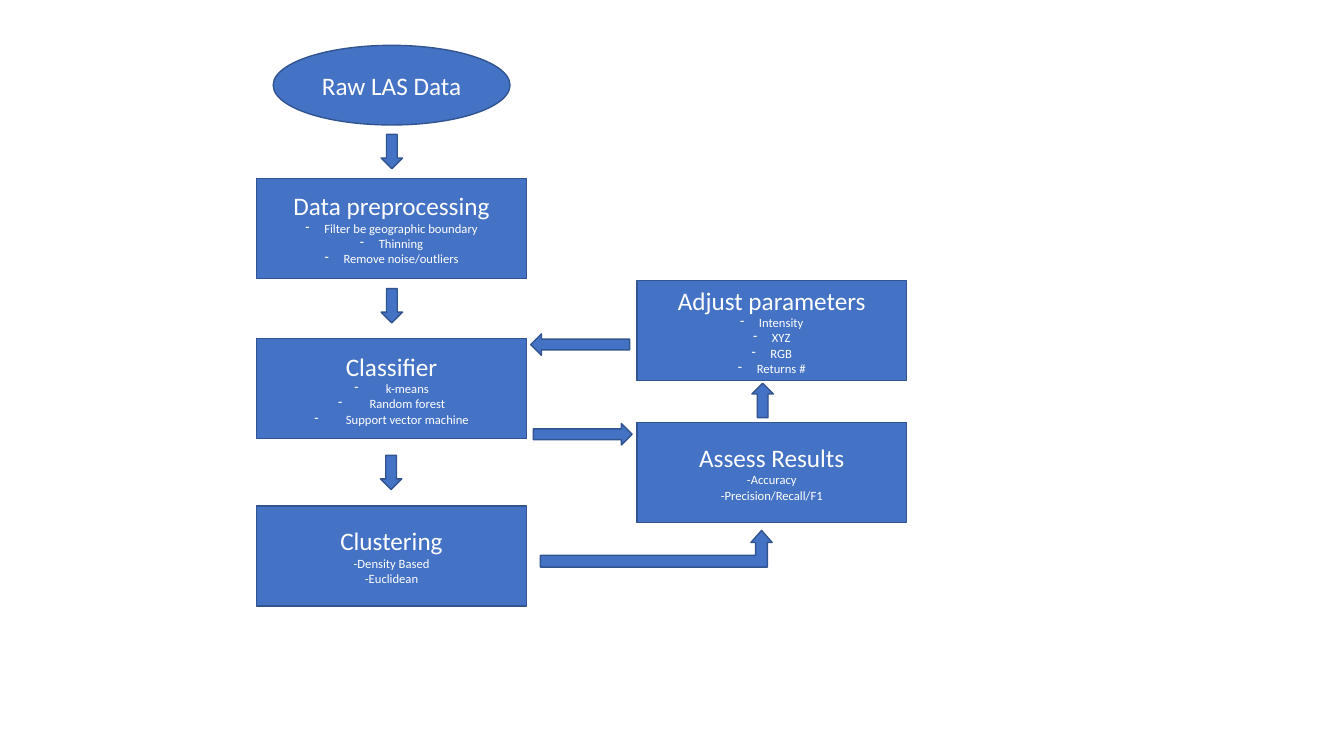
from dataclasses import dataclass

from lxml import etree
from pptx import Presentation
from pptx import util as u
from pptx.dml import color
from pptx.enum import shapes, text
from pptx.oxml import ns


@dataclass
class Theme:
    fill = color.RGBColor.from_string("4472C4")
    line = color.RGBColor.from_string("325491")
    ink = color.RGBColor.from_string("FFFFFF")
    font = "Calibri"
    title_size = u.Pt(18)
    detail_size = u.Pt(9)


theme = Theme()
KIND = shapes.MSO_SHAPE

presentation = Presentation()
presentation.slide_width = u.Pt(960)
presentation.slide_height = u.Pt(540)
slide = presentation.slides.add_slide(presentation.slide_layouts[6])


def add_block(kind, left, top, width, height):
    shape = slide.shapes.add_shape(kind, u.Pt(left), u.Pt(top), u.Pt(width), u.Pt(height))
    shape.shadow.inherit = False
    shape.fill.solid()
    shape.fill.fore_color.rgb = theme.fill
    shape.line.color.rgb = theme.line
    shape.line.width = u.Pt(1)
    return shape


def add_step(kind, left, top, width, height, title, details=(), indent=0):
    frame = add_block(kind, left, top, width, height).text_frame
    frame.word_wrap = True
    frame.vertical_anchor = text.MSO_ANCHOR.MIDDLE
    for number, line in enumerate([title, *details]):
        paragraph = frame.add_paragraph() if number else frame.paragraphs[0]
        paragraph.text = line
        paragraph.alignment = text.PP_ALIGN.CENTER
        # Hanging dash bullet on the detail lines
        if number and indent:
            properties = paragraph._p.get_or_add_pPr()
            properties.set("marL", str(u.Pt(indent)))
            properties.set("indent", str(-u.Pt(indent)))
            etree.SubElement(properties, ns.qn("a:buChar")).set("char", "-")
        paragraph.font.name = theme.font
        paragraph.font.size = theme.detail_size if number else theme.title_size
        paragraph.font.color.rgb = theme.ink


# Start of the flow
add_step(KIND.OVAL, 195.1, 32.4, 169.2, 56.9, "Raw LAS Data")

# Steps: main column on the left, feedback loop on the right
main_left, loop_left = 183.4, 455
step_width, step_height = 192.5, 71.5
steps = [
    (main_left, 127.6, "Data preprocessing",
     ["Filter be geographic boundary", "Thinning", "Remove noise/outliers"], 13.5),
    (main_left, 242, "Classifier",
     ["k-means", "Random forest", "Support vector machine"], 22.5),
    (main_left, 361.4, "Clustering", ["-Density Based", "-Euclidean"], 0),
    (loop_left, 301.7, "Assess Results", ["-Accuracy", "-Precision/Recall/F1"], 0),
    (loop_left, 200.3, "Adjust parameters", ["Intensity", "XYZ", "RGB", "Returns #"], 13.5),
]
for left, top, title, details, indent in steps:
    add_step(KIND.RECTANGLE, left, top, step_width, step_height, title, details, indent)

# Straight arrows, placed by their centres: x, y, length, rotation
long_arrow, short_arrow, arrow_width = 70.6, 24.5, 15.3
arrows = [
    (414.4, 246.1, long_arrow, 180),
    (416.2, 310.2, long_arrow, 0),
    (279.9, 108.3, short_arrow, 90),
    (279.9, 218.4, short_arrow, 90),
    (279.4, 337.5, short_arrow, 90),
    (544.8, 286, short_arrow, 270),
]
for x, y, length, rotation in arrows:
    arrow = add_block(KIND.RIGHT_ARROW, x - length / 2, y - arrow_width / 2, length, arrow_width)
    arrow.rotation = rotation

# Bent arrow from clustering up to the assessment
bent_arrow = add_block(KIND.BENT_UP_ARROW, 386, 378.9, 165.6, 26.2)
for number, value in enumerate([0.32, 0.29, 0.33]):
    bent_arrow.adjustments[number] = value

presentation.save("out.pptx")
